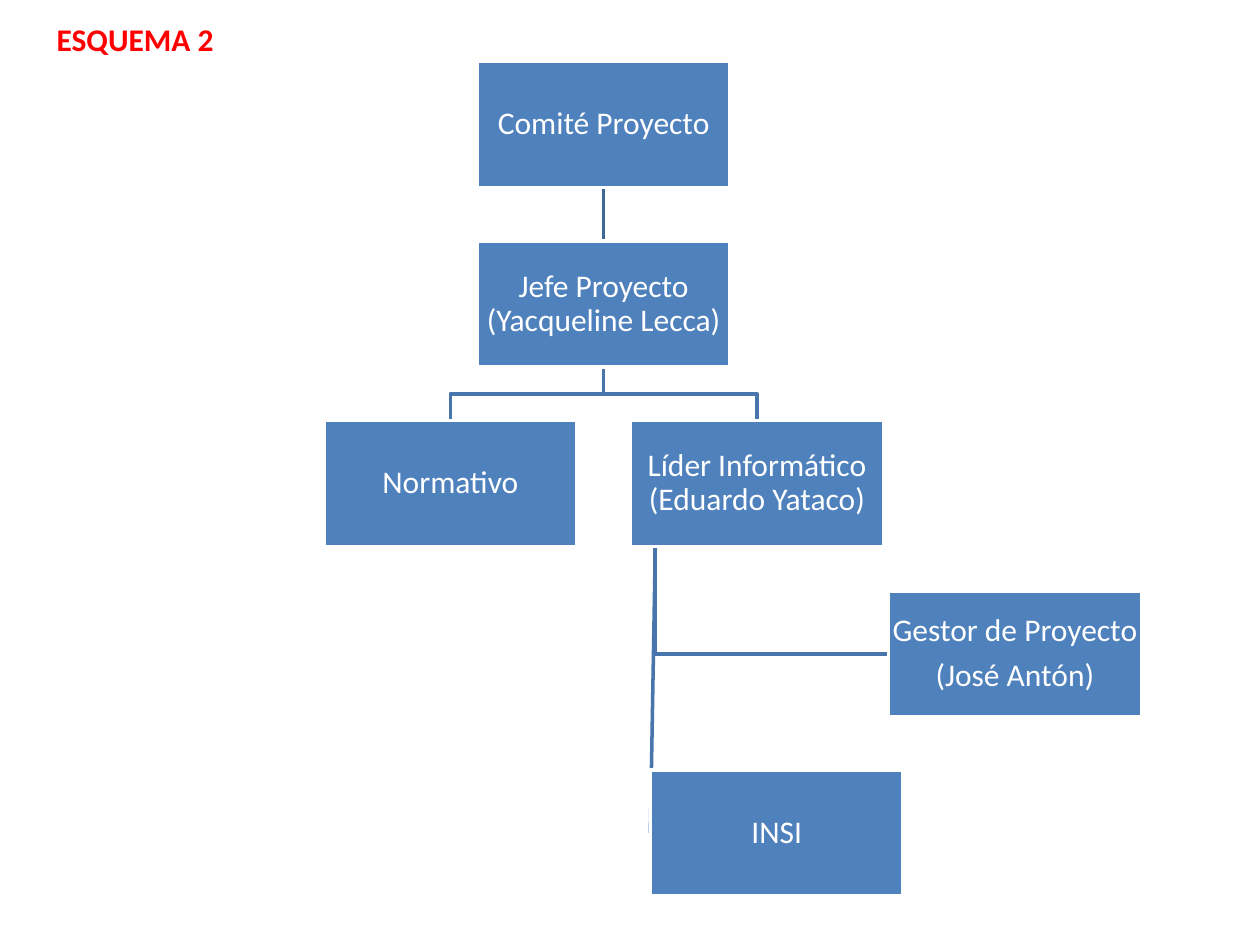
from lxml import etree
from pptx import Presentation
from pptx.dml.color import RGBColor
from pptx.enum.shapes import MSO_CONNECTOR, MSO_SHAPE
from pptx.enum.text import MSO_ANCHOR, MSO_AUTO_SIZE, PP_ALIGN
from pptx.oxml.ns import qn
from pptx.util import Cm, Pt

RECT = MSO_SHAPE.RECTANGLE
STRAIGHT = MSO_CONNECTOR.STRAIGHT
MIDDLE = MSO_ANCHOR.MIDDLE
CENTER = PP_ALIGN.CENTER

COLORS = {
    "box": "4F81BD",
    "white": "FFFFFF",
    "link": "4875AC",
    "top_link": "3F6797",
    "title": "FF0000",
}

BOX_W, BOX_H = 5.1, 2.54
TOP, ROW_STEP = 1.24, 3.62
ROWS = [TOP + i * ROW_STEP for i in range(3)]
CENTER_X = 12.17
BRANCH = 3.09  # centre line to the centre of each third-row box
GESTOR = (17.91, 11.91)
INSI = (13.11, 15.52)

BOX_FRAME = {
    "word_wrap": True, "vertical_anchor": MIDDLE,
    "margin_left": Cm(0.03), "margin_right": Cm(0.03),
    "margin_top": Cm(0.03), "margin_bottom": Cm(0.03),
}
BOX_PARAGRAPH = {"alignment": CENTER, "line_spacing": 0.9, "space_after": Pt(6.3)}
FONT = {"name": "Calibri", "size": Pt(18)}


def rgb(name):
    return RGBColor.from_string(COLORS[name])


def apply(obj, values):
    for name, value in values.items():
        setattr(obj, name, value)


def style_line(sp, color):
    sp.line.color.rgb = rgb(color)
    sp.line.width = Pt(2)


def add_run(p, text, color, **extra):
    r = p.add_run()
    r.text = text
    apply(r.font, {**FONT, **extra})
    r.font.color.rgb = rgb(color)


def add_box(slide, x, y, *lines):
    sp = slide.shapes.add_shape(RECT, Cm(x), Cm(y), Cm(BOX_W), Cm(BOX_H))
    sp.shadow.inherit = False
    sp.fill.solid()
    sp.fill.fore_color.rgb = rgb("box")
    style_line(sp, "white")
    tf = sp.text_frame
    apply(tf, BOX_FRAME)
    for i, line in enumerate(lines):
        p = tf.add_paragraph() if i else tf.paragraphs[0]
        apply(p, BOX_PARAGRAPH)
        add_run(p, line, "white")


def add_straight(slide, start, end, color):
    sp = slide.shapes.add_connector(STRAIGHT, *map(Cm, start + end))
    style_line(sp, color)
    etree.SubElement(sp._element.spPr, qn("a:effectLst"))


def add_elbow(slide, *points):
    """Draw an open line with square corners through the points."""
    start, *rest = [(Cm(x), Cm(y)) for x, y in points]
    builder = slide.shapes.build_freeform(*start)
    builder.add_line_segments(rest, close=False)
    sp = builder.convert_to_shape()
    sp.shadow.inherit = False
    sp.fill.background()
    style_line(sp, "link")


def add_title(slide, text):
    tb = slide.shapes.add_textbox(Cm(0.89), Cm(0.28), Cm(3.71), Cm(1.02))
    tf = tb.text_frame
    apply(tf, {"word_wrap": False, "auto_size": MSO_AUTO_SIZE.SHAPE_TO_FIT_TEXT})
    add_run(tf.paragraphs[0], text, "title", bold=True)


def add_links(slide):
    stem = (13.21, ROWS[2] + BOX_H)
    gestor_y = GESTOR[1] + BOX_H / 2
    add_straight(slide, stem, (INSI[0], INSI[1] + BOX_H / 2), "link")
    add_elbow(slide, stem, (stem[0], gestor_y), (GESTOR[0], gestor_y))
    fork_top = ROWS[1] + BOX_H
    fork_y = (fork_top + ROWS[2]) / 2
    for x in (CENTER_X + BRANCH, CENTER_X - BRANCH):
        add_elbow(slide, (CENTER_X, fork_top), (CENTER_X, fork_y),
                  (x, fork_y), (x, ROWS[2]))
    add_straight(slide, (CENTER_X, ROWS[0] + BOX_H), (CENTER_X, ROWS[1]), "top_link")


def add_boxes(slide):
    left = CENTER_X - BOX_W / 2
    add_box(slide, left, ROWS[0], "Comité Proyecto")
    add_box(slide, left, ROWS[1], "Jefe Proyecto (Yacqueline Lecca)")
    add_box(slide, left - BRANCH, ROWS[2], "Normativo")
    add_box(slide, left + BRANCH, ROWS[2], "Líder Informático (Eduardo Yataco)")
    add_box(slide, *GESTOR, "Gestor de Proyecto", "(José Antón)")
    add_box(slide, *INSI, "INSI")


def main():
    prs = Presentation()
    prs.slide_width, prs.slide_height = Cm(25.4), Cm(19.05)
    slide = prs.slides.add_slide(prs.slide_layouts[6])
    add_links(slide)
    add_boxes(slide)
    add_title(slide, "ESQUEMA 2")
    prs.save("out.pptx")


if __name__ == "__main__":
    main()
